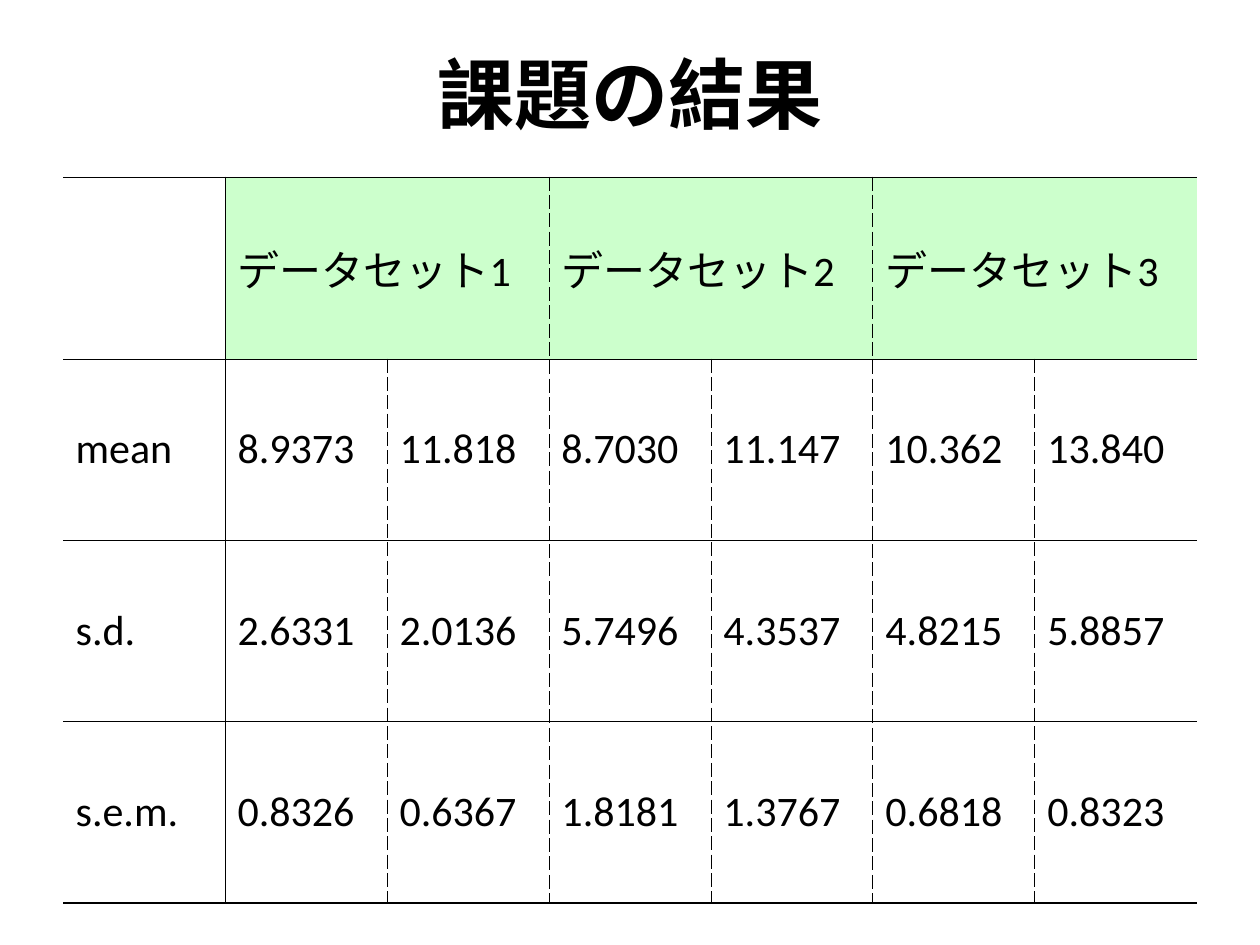
from lxml.etree import SubElement as add_node
from pptx import Presentation
from pptx.dml.color import RGBColor as Rgb
from pptx.enum.text import MSO_ANCHOR as Anchor, PP_ALIGN as Align
from pptx.oxml.ns import qn
from pptx.util import Pt

COLORS = {"ink": "000000", "header": "CCFFCC"}
TITLE_ONLY = 5
THIN, THICK = 0.45, 1.08
DATASETS = ["データセット1", "データセット2", "データセット3"]
RESULTS = [
    ["mean", "8.9373", "11.818", "8.7030", "11.147", "10.362", "13.840"],
    ["s.d.", "2.6331", "2.0136", "5.7496", "4.3537", "4.8215", "5.8857"],
    ["s.e.m.", "0.8326", "0.6367", "1.8181", "1.3767", "0.6818", "0.8323"],
]


class ResultsPage:
    """Holds the style and the slide, and adds the title and the results table."""

    def __init__(self, page):
        self.page = page
        self.title_font = ("DejaVu Sans", 44, True)
        self.body_font = ("Calibri", 24, False)

    def style(self, frame, font, align):
        name, size, bold = font
        for para in frame.paragraphs:
            para.alignment = align
            for span in para.runs:
                span.font.name = name
                span.font.size = Pt(size)
                span.font.bold = bold
                span.font.color.rgb = Rgb.from_string(COLORS["ink"])

    def title(self, text, left, top, width, height):
        box = self.page.shapes.title
        box.left, box.top, box.width, box.height = map(Pt, (left, top, width, height))
        box.text_frame.text = text
        box.text_frame.vertical_anchor = Anchor.MIDDLE
        self.style(box.text_frame, self.title_font, Align.CENTER)

    def border(self, cell, side, width, dash="solid"):
        line = add_node(cell._tc.get_or_add_tcPr(), qn(f"a:ln{side}"), w=str(Pt(width)))
        if not width:
            add_node(line, qn("a:noFill"))
            return
        fill = add_node(line, qn("a:solidFill"))
        add_node(fill, qn("a:srgbClr"), val=COLORS["ink"])
        add_node(line, qn("a:prstDash"), val=dash)

    def cell_borders(self, cell, row, column, rows, columns):
        for side, edge in (("L", column), ("R", column + 1)):
            inside_merge = row == 0 and edge % 2 == 0
            hidden = edge in (0, columns) or inside_merge
            self.border(cell, side, 0 if hidden else THIN, "solid" if edge == 1 else "dash")
        for side, edge in (("T", row), ("B", row + 1)):
            self.border(cell, side, THICK if edge in (0, rows) else THIN)

    def table(self, datasets, results, left, top, width, height):
        header = [""] + [text for name in datasets for text in (name, "")]
        content = [header] + results
        rows, columns = len(content), len(header)
        frame = self.page.shapes.add_table(rows, columns, *map(Pt, (left, top, width, height)))
        table = frame.table
        table.first_row = table.horz_banding = False
        for column in table.columns:
            column.width = Pt(width / columns)
        for row, texts in enumerate(content):
            for column, text in enumerate(texts):
                cell = table.cell(row, column)
                cell.text_frame.text = text
                cell.vertical_anchor = Anchor.MIDDLE
                self.style(cell.text_frame, self.body_font, Align.LEFT)
                self.cell_borders(cell, row, column, rows, columns)
                if row == 0 and column > 0:
                    cell.fill.solid()
                    cell.fill.fore_color.rgb = Rgb.from_string(COLORS["header"])
                else:
                    cell.fill.background()
        for column in range(1, columns, 2):
            table.cell(0, column).merge(table.cell(0, column + 1))


def main():
    deck = Presentation()
    deck.slide_width, deck.slide_height = Pt(720), Pt(540)
    results_page = ResultsPage(deck.slides.add_slide(deck.slide_layouts[TITLE_ONLY]))
    results_page.title("課題の結果", 36, 21.6, 648, 62.6)
    results_page.table(DATASETS, RESULTS, 36, 101.4, 648, 414.8)
    deck.save("out.pptx")


if __name__ == "__main__":
    main()
